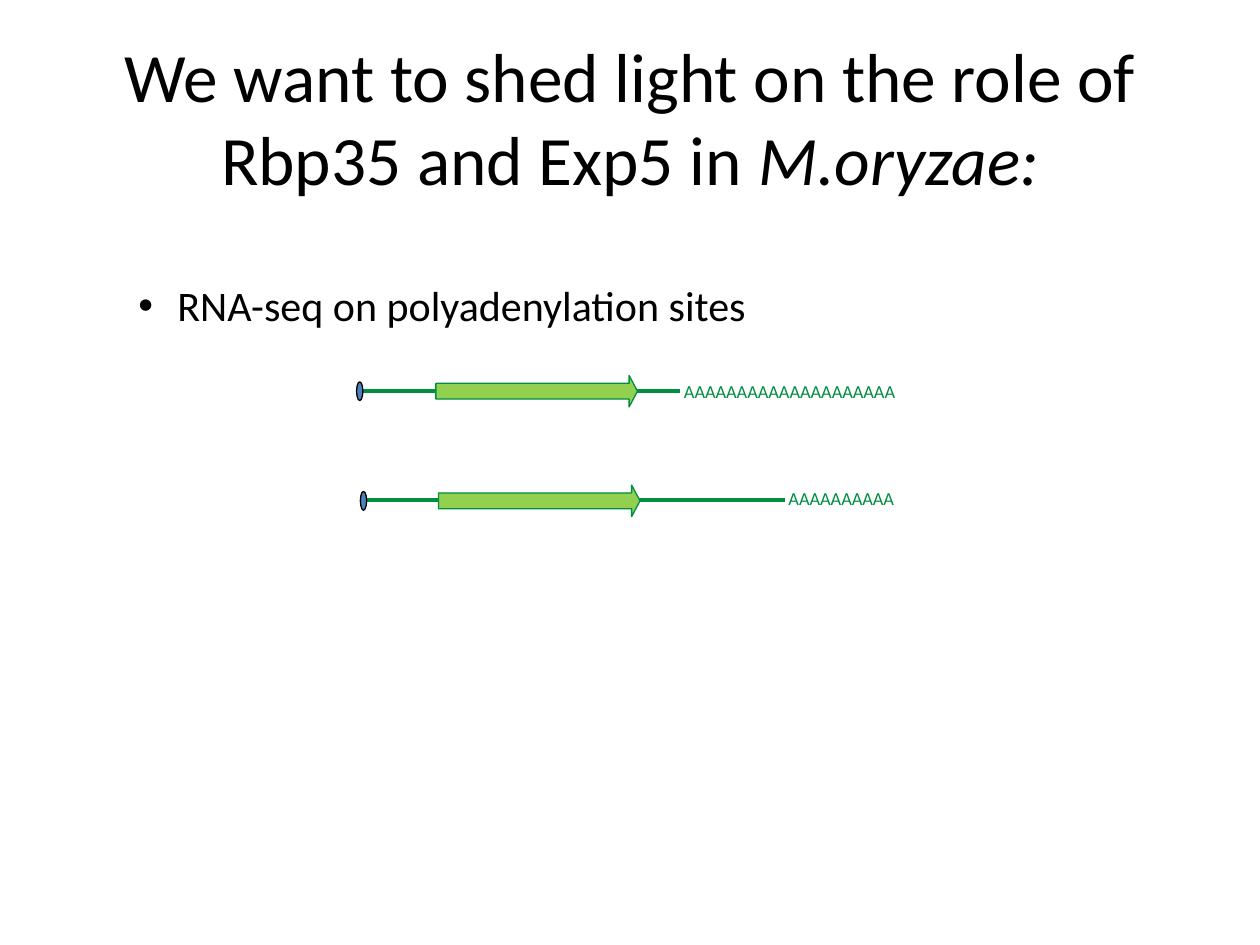
from dataclasses import dataclass

from lxml.etree import SubElement
from pptx import Presentation
from pptx.dml.color import RGBColor
from pptx.enum.shapes import MSO_CONNECTOR, MSO_SHAPE
from pptx.enum.text import MSO_ANCHOR, PP_ALIGN
from pptx.oxml.ns import qn
from pptx.util import Inches, Pt


@dataclass(frozen=True)
class Theme:
    font: str = "Calibri"
    black: RGBColor = RGBColor(0x00, 0x00, 0x00)
    strand: RGBColor = RGBColor(0x00, 0x8E, 0x40)
    gene: RGBColor = RGBColor(0x92, 0xD0, 0x50)
    cap: RGBColor = RGBColor(0x4F, 0x81, 0xBD)
    title_size: float = 39.6
    bullet_size: float = 24
    tail_size: float = 10.5
    strand_width: float = 2.25
    outline_width: float = 0.75


THEME = Theme()


def add_run(p, text, size, color, **extra):
    r = p.add_run()
    r.text = text
    r.font.color.rgb = color
    for name, value in {"name": THEME.font, "size": Pt(size), **extra}.items():
        setattr(r.font, name, value)


def set_title(s):
    title = s.shapes.title
    box = {"left": 0.5, "top": 0.3, "width": 9, "height": 1.25}
    for name, value in box.items():
        setattr(title, name, Inches(value))
    tf = title.text_frame
    tf.word_wrap = True
    tf.vertical_anchor = MSO_ANCHOR.MIDDLE
    p = tf.paragraphs[0]
    p.alignment = PP_ALIGN.CENTER
    add_run(p, "We want to shed light on the role of Rbp35 and Exp5 in ",
            THEME.title_size, THEME.black)
    add_run(p, "M.oryzae:", THEME.title_size, THEME.black, italic=True)


def add_text(s, left, top, width, height, text, size, color):
    tb = s.shapes.add_textbox(Inches(left), Inches(top), Inches(width), Inches(height))
    tb.text_frame.word_wrap = True
    p = tb.text_frame.paragraphs[0]
    add_run(p, text, size, color)
    return p


def add_bullet(p, indent):
    pPr = p._p.get_or_add_pPr()
    pPr.set("marL", str(Inches(indent)))
    pPr.set("indent", str(-Inches(indent)))
    SubElement(pPr, qn("a:buFont")).set("typeface", "Arial")
    SubElement(pPr, qn("a:buChar")).set("char", "•")


def add_strand(s, start, end, y):
    line = s.shapes.add_connector(MSO_CONNECTOR.STRAIGHT, Inches(start), Inches(y),
                                  Inches(end), Inches(y))
    line.line.color.rgb = THEME.strand
    line.line.width = Pt(THEME.strand_width)
    SubElement(line._element.spPr, qn("a:effectLst"))


def add_part(s, kind, left, top, width, height, fill, outline):
    sp = s.shapes.add_shape(kind, Inches(left), Inches(top), Inches(width), Inches(height))
    sp.shadow.inherit = False
    sp.fill.solid()
    sp.fill.fore_color.rgb = fill
    sp.line.color.rgb = outline
    sp.line.width = Pt(THEME.outline_width)
    return sp


def add_transcript(s, left, y, end, gene_left, tail_box, tail_length):
    # Strand, coding region, 5' cap and poly(A) tail
    add_strand(s, left, end, y)
    gene = add_part(s, MSO_SHAPE.RIGHT_ARROW, gene_left, y - 0.12, 1.6, 0.25,
                    THEME.gene, THEME.strand)
    gene.adjustments[1] = 0.265
    add_part(s, MSO_SHAPE.OVAL, left, y - 0.07, 0.05, 0.15, THEME.cap, THEME.black)
    tail_left, tail_top, tail_width = tail_box
    add_text(s, tail_left, tail_top, tail_width, 0.28, "A" * tail_length,
             THEME.tail_size, THEME.strand)


def main():
    prs = Presentation()
    prs.slide_width, prs.slide_height = Inches(10), Inches(7.5)
    s = prs.slides.add_slide(prs.slide_layouts[5])

    # Heading and method
    set_title(s)
    p = add_text(s, 1, 2.17, 8.37, 0.5, "RNA-seq on polyadenylation sites",
                 THEME.bullet_size, THEME.black)
    add_bullet(p, 0.31)

    # Transcripts with a near and a far polyadenylation site
    add_transcript(s, 2.83, 3.1, 5.4, 3.46, (5.33, 2.97, 2.12), 20)
    add_transcript(s, 2.86, 3.97, 6.23, 3.48, (6.16, 3.82, 1.14), 10)

    prs.save("out.pptx")


if __name__ == "__main__":
    main()
